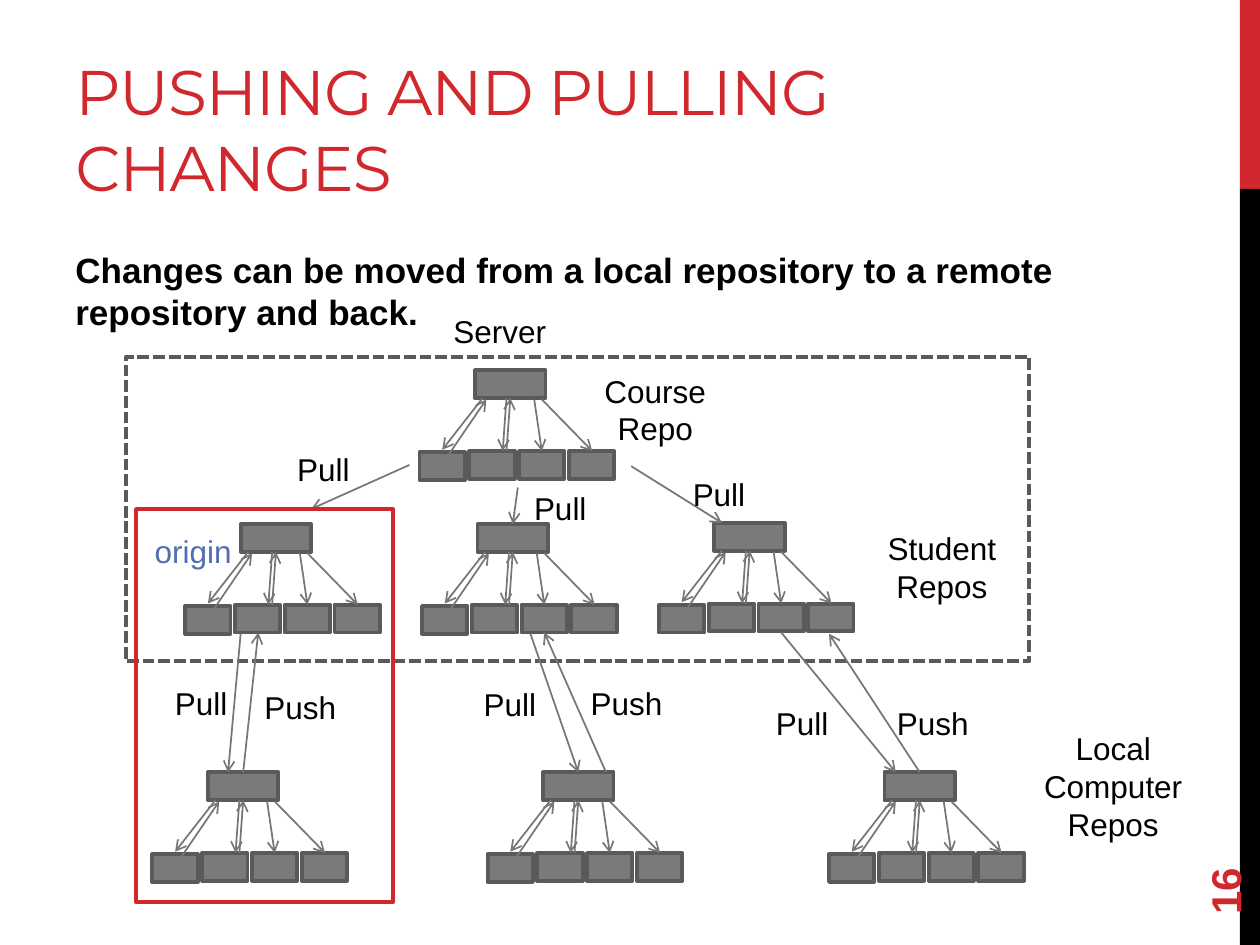
from typing import NamedTuple

from lxml.etree import SubElement
from pptx import Presentation
from pptx.dml.color import RGBColor
from pptx.enum.dml import MSO_LINE
from pptx.enum.shapes import MSO_CONNECTOR, MSO_SHAPE
from pptx.enum.text import MSO_ANCHOR, PP_ALIGN
from pptx.oxml.ns import qn
from pptx.util import Inches, Pt

HUES = {"red": "D1282E", "black": "000000", "blue": "526DB0",
        "fill": "7A7A7A", "edge": "5A5A5A", "arrow": "777777"}


class Box(NamedTuple):
    left: float
    top: float
    width: float
    height: float
    fill: str = ""
    edge: str = ""
    dash: bool = False


class Arrow(NamedTuple):
    x1: float
    y1: float
    x2: float
    y2: float


class Label(NamedTuple):
    text: str
    left: float
    top: float
    width: float
    height: float = 0.4
    size: float = 18
    hue: str = "black"
    font: str = "Arial"
    bold: bool = False
    align: PP_ALIGN = PP_ALIGN.LEFT
    anchor: MSO_ANCHOR = MSO_ANCHOR.TOP
    turn: float = 0
    track: int = 0


deck = Presentation()
deck.slide_width, deck.slide_height = Inches(10), Inches(7.5)
slide = deck.slides.add_slide(deck.slide_layouts[6])


def tint(name: str) -> RGBColor:
    return RGBColor.from_string(HUES[name])


def draw_box(box: Box) -> None:
    shape = slide.shapes.add_shape(MSO_SHAPE.RECTANGLE, *map(Inches, box[:4]))
    shape.shadow.inherit = False
    if box.fill:
        shape.fill.solid()
        shape.fill.fore_color.rgb = tint(box.fill)
    else:
        shape.fill.background()
    if box.edge:
        shape.line.color.rgb = tint(box.edge)
        shape.line.width = Pt(2.25)
        if box.dash:
            shape.line.dash_style = MSO_LINE.SQUARE_DOT
    else:
        shape.line.fill.background()


def draw_arrow(arrow: Arrow) -> None:
    line = slide.shapes.add_connector(MSO_CONNECTOR.STRAIGHT, *map(Inches, arrow))
    line.line.color.rgb = tint("arrow")
    line.line.width = Pt(1)
    SubElement(line.line._get_or_add_ln(), qn("a:tailEnd"), type="arrow")
    SubElement(line._element.spPr, qn("a:effectLst"))


def draw_label(label: Label) -> None:
    shape = slide.shapes.add_textbox(*map(Inches, label[1:5]))
    shape.rotation = label.turn
    frame = shape.text_frame
    frame.word_wrap = True
    frame.vertical_anchor = label.anchor
    frame.text = label.text
    para = frame.paragraphs[0]
    para.alignment = label.align
    run = para.runs[0]
    run.font.size = Pt(label.size)
    run.font.name = label.font
    run.font.bold = label.bold
    run.font.color.rgb = tint(label.hue)
    if label.track:
        run.font._element.set("spc", str(label.track))


# One repo: a root, four leaves and the arrows between them
LINKS = [Arrow(-0.21, 0.67, 0.09, 0.23), Arrow(0.06, 0.22, -0.26, 0.63),
         Arrow(0.47, 0.23, 0.53, 0.64), Arrow(0.53, 0.23, 0.93, 0.64),
         Arrow(0.25, 0.22, 0.22, 0.64), Arrow(0.25, 0.64, 0.28, 0.22)]


def draw_repo(left: float, top: float) -> None:
    draw_box(Box(left, top, 0.56, 0.22, "fill", "edge"))
    for i in range(4):
        drop = 0.64 if i else 0.65
        draw_box(Box(left - 0.44 + 0.395 * i, top + drop, 0.36, 0.22, "fill", "edge"))
    for x1, y1, x2, y2 in LINKS:
        draw_arrow(Arrow(left + x1, top + y1, left + x2, top + y2))


# Side bar
draw_box(Box(9.84, 0, 0.16, 1.5, "red"))
draw_box(Box(9.84, 1.5, 0.16, 6, "black"))

# Heading, body and page number
draw_label(Label("PUSHING AND PULLING CHANGES", 0.5, 0.17, 6.33, 1.5, 36, "red",
                 "Montserrat", anchor=MSO_ANCHOR.BOTTOM, track=-60))
draw_label(Label("Changes can be moved from a local repository to a remote "
                 "repository and back.", 0.5, 1.92, 8.33, 4.78, 20, bold=True))
draw_label(Label("16", 9, 6.44, 1.44, 0.4, 24, "red", bold=True,
                 anchor=MSO_ANCHOR.MIDDLE, turn=270))

# Course, student and local repos
REPOS = [(3.77, 2.94), (1.91, 4.16), (3.79, 4.16), (5.67, 4.15),
         (1.65, 6.13), (4.31, 6.13), (7.02, 6.13)]
for spot in REPOS:
    draw_repo(*spot)

# Frame of the hosted repos
draw_box(Box(1, 2.83, 7.17, 2.42, edge="edge", dash=True))

# Arrows between repos
MOVES = [Arrow(3.25, 3.69, 2.47, 4.04), Arrow(5.01, 3.7, 5.73, 4.15),
         Arrow(4.11, 3.87, 4.07, 4.16), Arrow(1.91, 5.03, 1.81, 6.13),
         Arrow(1.93, 6.13, 2.05, 5.02), Arrow(4.21, 5.03, 4.59, 6.13),
         Arrow(4.81, 6.13, 4.32, 5.02), Arrow(6.2, 5.02, 7.11, 6.13),
         Arrow(7.3, 6.13, 6.58, 5.03)]
for move in MOVES:
    draw_arrow(move)

# Names of the levels
draw_label(Label("Server", 3.5, 2.43, 1.08))
LEVELS = [("Course Repo", 4.64, 2.9, 1.12, 0.71),
          ("Student Repos", 6.92, 4.15, 1.11, 0.71),
          ("Local Computer Repos", 8.17, 5.74, 1.33, 1.01)]
for level in LEVELS:
    draw_label(Label(*level, align=PP_ALIGN.CENTER))

# Names of the moves
PULLS = [(2.26, 3.52), (5.4, 3.72), (4.14, 3.83),
         (1.29, 5.38), (3.74, 5.39), (6.06, 5.54)]
PUSHES = [(2, 5.41), (4.59, 5.38), (7.02, 5.54)]
for word, width, spots in (("Pull", 0.66, PULLS), ("Push", 0.84, PUSHES)):
    for left, top in spots:
        draw_label(Label(word, left, top, width))

# Origin pair
draw_box(Box(1.08, 4.04, 2.04, 3.12, edge="red"))
draw_label(Label("origin", 1.13, 4.17, 1.03, hue="blue"))

deck.save("out.pptx")
